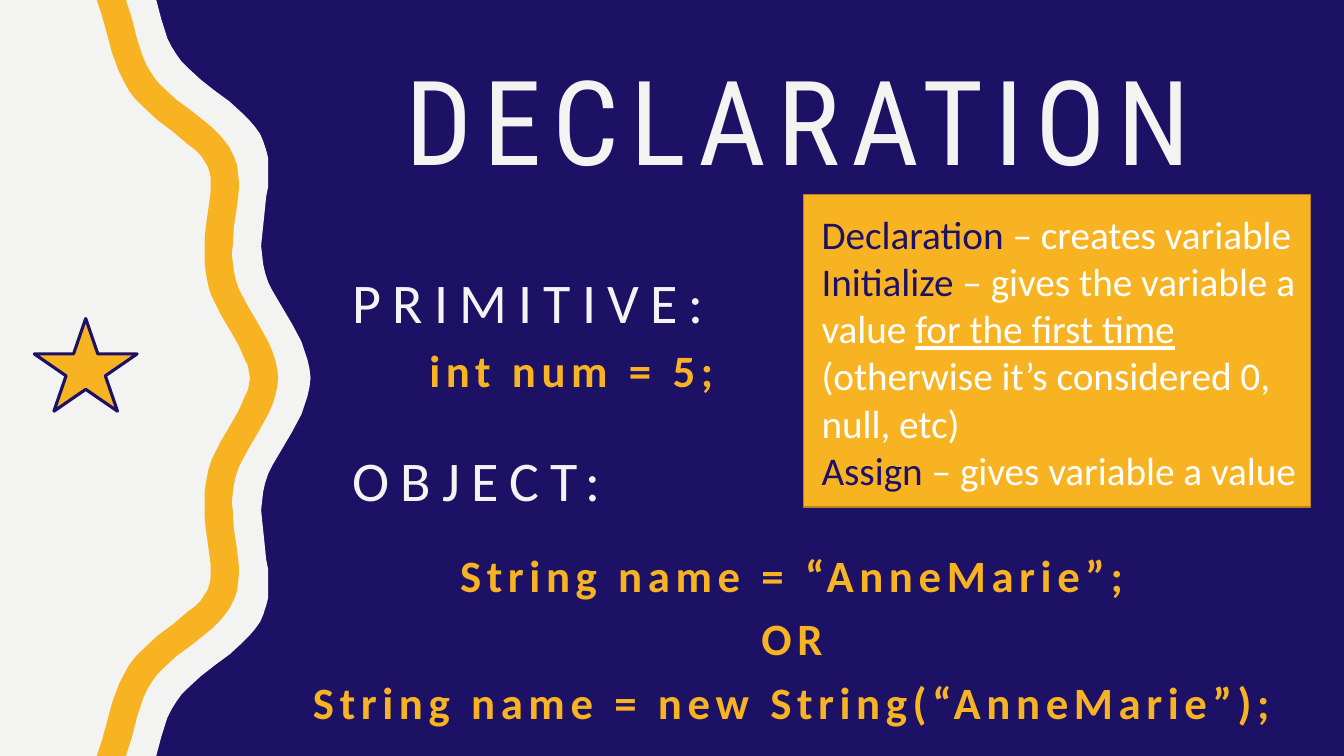
"""Build the DECLARATION slide: wavy left border, code examples and a definitions panel."""
from pptx import Presentation
from pptx.dml.color import RGBColor
from pptx.enum.shapes import MSO_SHAPE
from pptx.enum.text import MSO_ANCHOR, PP_ALIGN
from pptx.util import Inches, Pt

NAVY, GOLD, PALE, WHITE = "1D1165", "F8B323", "F3F3F2", "FFFFFF"
BROWN = "B7841A"
HEIGHT = 7.5


def color(hex_code):
    return RGBColor.from_string(hex_code)


def add_text(position, lines, size, hex_code, spacing, font="Calibri", heading=True):
    box = slide.shapes.add_textbox(*[Inches(value) for value in position])
    frame = box.text_frame
    frame.word_wrap = True
    frame.vertical_anchor = MSO_ANCHOR.BOTTOM if heading else MSO_ANCHOR.TOP
    for index, line in enumerate(lines):
        para = frame.paragraphs[0] if index == 0 else frame.add_paragraph()
        para.font.name = font
        para.font.size = Pt(size)
        para.font.bold = not heading
        para.font.color.rgb = color(hex_code)
        if heading:
            para.line_spacing = 0.9
        else:
            para.space_before = Pt(7)
        if len(lines) > 1:
            para.alignment = PP_ALIGN.CENTER
        span = para.add_run()
        span.text = line
        span._r.get_or_add_rPr().set("spc", str(spacing * 100))


deck = Presentation()
deck.slide_width, deck.slide_height = Inches(13.33), Inches(HEIGHT)
slide = deck.slides.add_slide(deck.slide_layouts[6])
slide.background.fill.solid()
slide.background.fill.fore_color.rgb = color(NAVY)

pale_edge = [
    (1.55, 0), (1.6, 0.19), (1.66, 0.38), (1.7, 0.46), (1.75, 0.54), (1.8, 0.61),
    (1.86, 0.67), (1.99, 0.79), (2.13, 0.9), (2.28, 1.01), (2.41, 1.13), (2.47, 1.19),
    (2.53, 1.26), (2.58, 1.33), (2.61, 1.4), (2.64, 1.49), (2.66, 1.57), (2.66, 1.85),
    (2.64, 1.95), (2.62, 2.15), (2.6, 2.34), (2.59, 2.44), (2.6, 2.53), (2.61, 2.62),
    (2.63, 2.71), (2.66, 2.8), (2.7, 2.88), (2.8, 3.05), (2.9, 3.22), (2.99, 3.39),
    (3.02, 3.48), (3.05, 3.57), (3.07, 3.66), (3.08, 3.75),
]
ribbon_right = [
    (1.25, 0), (1.31, 0.19), (1.36, 0.39), (1.42, 0.57), (1.46, 0.66), (1.51, 0.74),
    (1.56, 0.81), (1.62, 0.87), (1.75, 0.99), (1.9, 1.1), (2.05, 1.22), (2.11, 1.27),
    (2.18, 1.34), (2.23, 1.4), (2.28, 1.47), (2.32, 1.55), (2.35, 1.63), (2.36, 1.71),
    (2.37, 1.8), (2.37, 1.88), (2.35, 2.06), (2.32, 2.25), (2.31, 2.43), (2.3, 2.52),
    (2.31, 2.61), (2.32, 2.69), (2.34, 2.78), (2.37, 2.87), (2.46, 3.04), (2.56, 3.21),
    (2.66, 3.39), (2.7, 3.48), (2.73, 3.57), (2.75, 3.66), (2.76, 3.75),
]
ribbon_left = [
    (0.96, 0), (1.01, 0.15), (1.06, 0.33), (1.11, 0.52), (1.18, 0.71), (1.23, 0.81),
    (1.28, 0.9), (1.34, 0.98), (1.41, 1.05), (1.56, 1.19), (1.72, 1.31), (1.86, 1.43),
    (1.93, 1.48), (1.99, 1.54), (2.03, 1.6), (2.06, 1.65), (2.08, 1.71), (2.09, 1.77),
    (2.09, 1.9), (2.07, 2.05), (2.04, 2.26), (2.03, 2.38), (2.03, 2.62), (2.05, 2.75),
    (2.07, 2.85), (2.1, 2.94), (2.19, 3.12), (2.29, 3.29), (2.37, 3.43), (2.43, 3.57),
    (2.46, 3.63), (2.47, 3.69), (2.48, 3.75),
]
for right, left, fill in [(pale_edge, [(0, 0)], PALE), (ribbon_right, ribbon_left, GOLD)]:
    upper = left[::-1] + right
    lower = [(x, HEIGHT - y) for x, y in reversed(upper)]
    outline = [(Inches(x), Inches(y)) for x, y in upper + lower]
    builder = slide.shapes.build_freeform(*outline[0], scale=1.0)
    builder.add_line_segments(outline[1:], close=True)
    wave = builder.convert_to_shape()
    wave.shadow.inherit = False
    wave.fill.solid()
    wave.fill.fore_color.rgb = color(fill)
    wave.line.fill.background()

add_text((3.92, 0.49, 8.44, 1.45), ["DECLARATION"], 84, PALE, 8, "Roboto Condensed")
add_text((4.16, 3.35, 9.17, 1.0), ["int num = 5;"], 32, GOLD, 4, heading=False)
string_examples = ["String name = “AnneMarie”;", "OR", "String name = new String(“AnneMarie”);"]
add_text((2.38, 5.38, 10.95, 2.12), string_examples, 32, GOLD, 4, heading=False)
for top, label in [(2.66, "PRIMITIVE:"), (4.42, "OBJECT:")]:
    add_text((3.4, top, 8.44, 0.72), [label], 40, PALE, 8)

for preset, position, outline_color, width in [
    (MSO_SHAPE.RECTANGLE, (7.97, 1.93, 5.03, 3.1), BROWN, 1),
    (MSO_SHAPE.STAR_5_POINT, (0.34, 3.16, 1.02, 0.92), NAVY, 2.25),
]:
    shape = slide.shapes.add_shape(preset, *[Inches(value) for value in position])
    shape.shadow.inherit = False
    shape.fill.solid()
    shape.fill.fore_color.rgb = color(GOLD)
    shape.line.color.rgb = color(outline_color)
    shape.line.width = Pt(width)

definitions = [
    [("Declaration ", NAVY, False), ("– creates variable", WHITE, False)],
    [
        ("Initialize ", NAVY, False),
        ("– gives the variable a value ", WHITE, False),
        ("for the first time ", WHITE, True),
        ("(otherwise it’s considered 0, null, etc)", WHITE, False),
    ],
    [("Assign ", NAVY, False), ("– gives variable a value", WHITE, False)],
]
definition_box = slide.shapes.add_textbox(Inches(8.05), Inches(2.04), Inches(4.96), Inches(2.93))
definition_frame = definition_box.text_frame
definition_frame.word_wrap = True
for index, definition in enumerate(definitions):
    para = definition_frame.paragraphs[0] if index == 0 else definition_frame.add_paragraph()
    para.font.name = "Calibri"
    para.font.size = Pt(28)
    for text, hex_code, underlined in definition:
        span = para.add_run()
        span.text = text
        span.font.color.rgb = color(hex_code)
        span.font.underline = underlined

deck.save("out.pptx")
